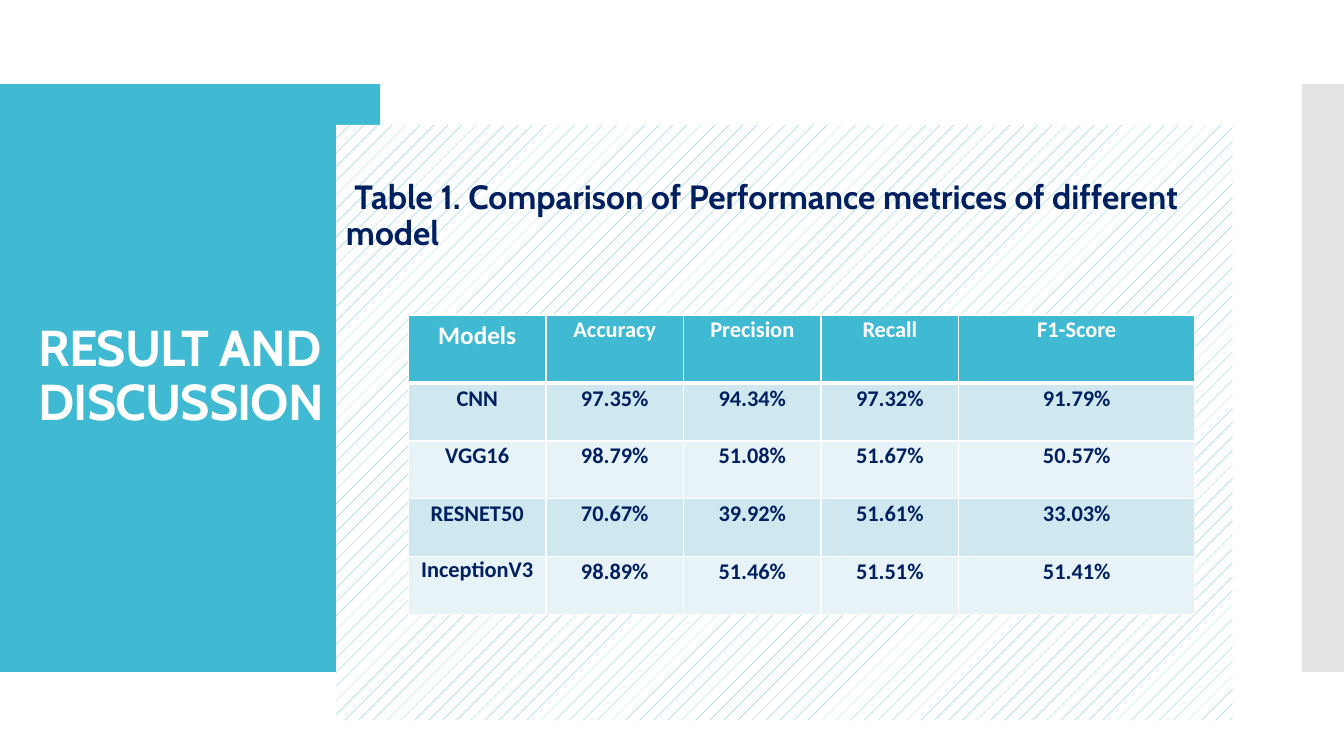
from dataclasses import dataclass
from typing import Any

from lxml.etree import SubElement
from pptx import Presentation
from pptx.dml.color import RGBColor
from pptx.enum.dml import MSO_PATTERN
from pptx.enum.shapes import MSO_SHAPE
from pptx.enum.text import MSO_ANCHOR, MSO_AUTO_SIZE, PP_ALIGN
from pptx.oxml.ns import qn
from pptx.util import Pt

PX = 9525
HUES = {"teal": "40BAD2", "grey": "C8C8C8", "white": "FFFFFF",
        "navy": "002060", "dark": "CFE7EE", "light": "E8F3F7"}
ROWS = [
    ["Models", "Accuracy", "Precision", "Recall", "F1-Score"],
    ["CNN", "97.35%", "94.34%", "97.32%", "91.79%"],
    ["VGG16", "98.79%", "51.08%", "51.67%", "50.57%"],
    ["RESNET50", "70.67%", "39.92%", "51.61%", "33.03%"],
    ["InceptionV3", "98.89%", "51.46%", "51.51%", "51.41%"],
]
WIDTHS = [131] * 4 + [225]
HEIGHTS = [65] + [55] * 4
SIDES = {"L": 1, "R": 1, "T": 1, "B": 1}


@dataclass
class Box:
    left: int
    top: int
    width: int
    height: int

    def place(self) -> list[int]:
        return [n * PX for n in (self.left, self.top, self.width, self.height)]


@dataclass
class Band:
    box: Box
    hue: str
    alpha: int = 100


BANDS = [Band(Box(0, 80, 362, 560), "teal"),
         Band(Box(1240, 80, 40, 560), "grey", 50)]
TITLE = Box(27, 118, 309, 483)
PANEL = Box(320, 119, 854, 567)
GRID = Box(389, 300, sum(WIDTHS), sum(HEIGHTS))


def rgb(hue: str) -> RGBColor:
    return RGBColor.from_string(HUES[hue])


def apply(item: Any, form: dict[str, Any]) -> None:
    for name, value in form.items():
        setattr(item, name, value)


def style(par: Any, face: str, size: int, hue: str, form: dict[str, Any]) -> None:
    apply(par, form)
    for run in par.runs:
        apply(run.font, {"name": face, "size": Pt(size), "bold": True})
        run.font.color.rgb = rgb(hue)


def add_rect(slide: Any, box: Box) -> Any:
    rect = slide.shapes.add_shape(MSO_SHAPE.RECTANGLE, *box.place())
    rect.shadow.inherit = False
    rect.line.fill.background()
    return rect


def add_band(slide: Any, band: Band) -> None:
    rect = add_rect(slide, band.box)
    rect.fill.solid()
    rect.fill.fore_color.rgb = rgb(band.hue)
    if band.alpha < 100:
        shade = rect.fill._xPr.find(".//" + qn("a:srgbClr"))
        SubElement(shade, qn("a:alpha"), val=str(band.alpha * 1000))


def set_title(slide: Any) -> None:
    title = slide.shapes.title
    slide.shapes._spTree.append(title._element)
    apply(title, dict(zip(("left", "top", "width", "height"), TITLE.place())))
    title.text_frame.text = "RESULT AND\vDISCUSSION"
    apply(title.text_frame, {"vertical_anchor": MSO_ANCHOR.MIDDLE, "word_wrap": True,
                             "auto_size": MSO_AUTO_SIZE.NONE})
    par = title.text_frame.paragraphs[0]
    style(par, "Cabin", 36, "white", {"alignment": PP_ALIGN.LEFT, "line_spacing": 0.9})
    for run in par.runs:
        run.font._element.set("spc", "-60")


def add_panel(slide: Any) -> None:
    rect = add_rect(slide, PANEL)
    rect.fill.patterned()
    rect.fill.pattern = MSO_PATTERN.PERCENT_5
    rect.fill.fore_color.rgb = rgb("teal")
    rect.fill.back_color.rgb = rgb("white")
    frame = rect.text_frame
    apply(frame, {"vertical_anchor": MSO_ANCHOR.TOP, "word_wrap": True,
                  "margin_top": 53 * PX})
    frame.text = "Table 1. Comparison of Performance metrices of different model"
    par = frame.paragraphs[0]
    par._p.get_or_add_pPr().set("indent", str(8 * PX))
    style(par, "Cabin", 24, "navy", {"alignment": PP_ALIGN.LEFT, "line_spacing": 0.9})


def edge(cell: Any, widths: dict[str, int]) -> None:
    props = cell._tc.get_or_add_tcPr()
    for side, width in widths.items():
        line = SubElement(props, qn(f"a:ln{side}"), w=str(Pt(width)))
        fill = SubElement(line, qn("a:solidFill"))
        SubElement(fill, qn("a:srgbClr"), val=HUES["white"])


def fill_cell(cell: Any, text: str, row: int) -> None:
    edge(cell, {**SIDES, "B": 3} if row == 0 else {**SIDES, "T": 3 if row == 1 else 1})
    cell.fill.solid()
    cell.fill.fore_color.rgb = rgb("teal" if row == 0 else "dark" if row % 2 else "light")
    cell.text = text
    form = {"alignment": PP_ALIGN.CENTER}
    if text != "Models":
        apply(cell, {"margin_left": 7 * PX, "margin_right": 7 * PX,
                     "margin_top": 0, "margin_bottom": 0})
        if text != "InceptionV3":
            form |= {"line_spacing": 1.06, "space_after": Pt(21.3)}
    style(cell.text_frame.paragraphs[0], "Calibri", 18 if text == "Models" else 16,
          "navy" if row else "white", form)


def add_grid(slide: Any) -> None:
    table = slide.shapes.add_table(len(ROWS), len(WIDTHS), *GRID.place()).table
    for col, width in zip(table.columns, WIDTHS):
        col.width = width * PX
    for row, height in zip(table.rows, HEIGHTS):
        row.height = height * PX
    for r, texts in enumerate(ROWS):
        for c, text in enumerate(texts):
            fill_cell(table.cell(r, c), text, r)


def main() -> None:
    deck = Presentation()
    apply(deck, {"slide_width": 1280 * PX, "slide_height": 720 * PX})
    slide = deck.slides.add_slide(deck.slide_layouts[5])
    for band in BANDS:
        add_band(slide, band)
    set_title(slide)
    add_panel(slide)
    add_grid(slide)
    deck.save("out.pptx")


if __name__ == "__main__":
    main()
